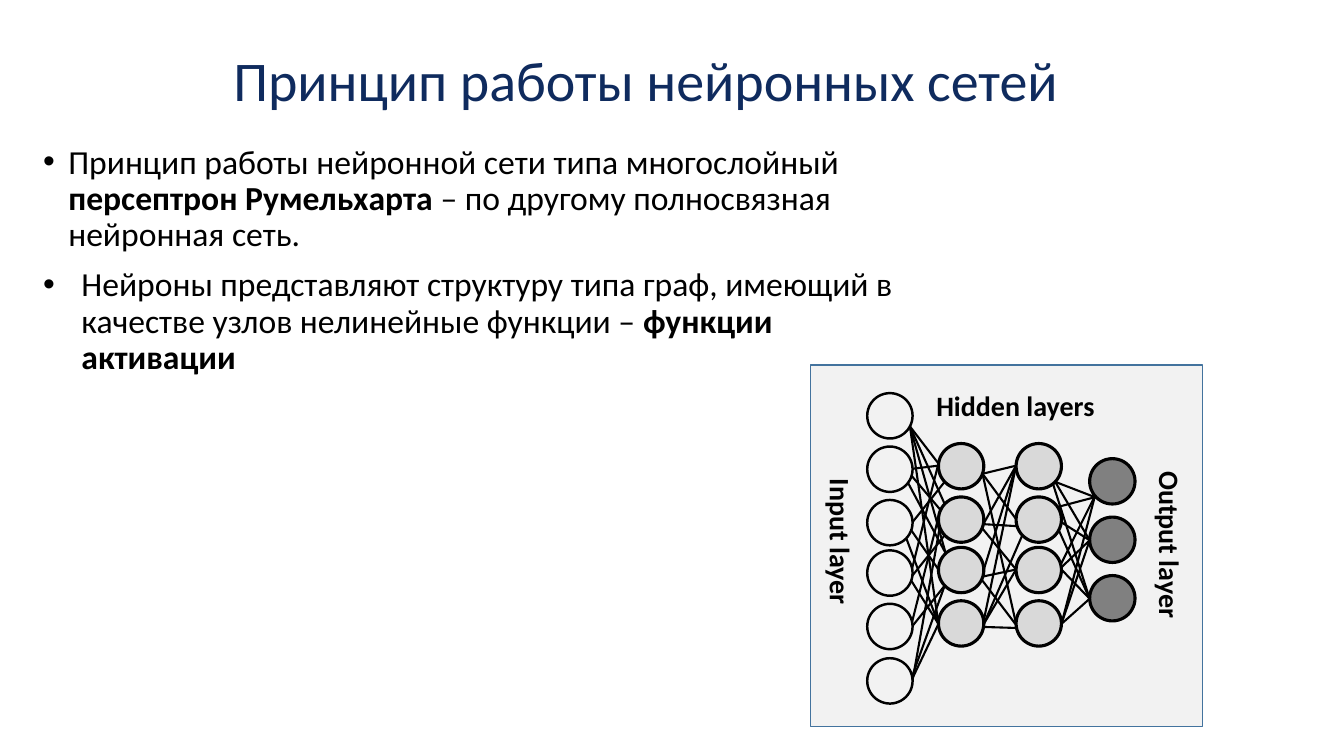
from dataclasses import dataclass
from math import sqrt

from lxml import etree
from pptx import Presentation
from pptx.dml.color import RGBColor
from pptx.enum.shapes import MSO_CONNECTOR, MSO_SHAPE
from pptx.enum.text import MSO_ANCHOR, PP_ALIGN
from pptx.oxml.ns import qn
from pptx.util import Inches, Pt

OVAL, RECTANGLE = MSO_SHAPE.OVAL, MSO_SHAPE.RECTANGLE
STRAIGHT = MSO_CONNECTOR.STRAIGHT
TOP, MIDDLE = MSO_ANCHOR.TOP, MSO_ANCHOR.MIDDLE
LEFT, CENTER = PP_ALIGN.LEFT, PP_ALIGN.CENTER

CELL = 0.1  # side of a grid cell, in inches
COLUMNS, ROWS = 133.33, 75
RADIUS = 2.25  # of a neuron, in cells


@dataclass(frozen=True)
class Theme:
    font: str = "Calibri"
    title_size: int = 40
    body_size: int = 24
    label_size: int = 20
    title: str = "0F2B5E"
    ink: str = "000000"
    panel: str = "F2F2F2"
    panel_edge: str = "43739E"
    hidden: str = "D9D9D9"
    output: str = "808080"


def cells(count):
    return Inches(count * CELL)


class SlideBuilder:
    def __init__(self, slide, theme):
        self.theme = theme
        self.slide = slide
        self.shapes = slide.shapes

    def start_group(self):
        self.shapes = self.slide.shapes.add_group_shape().shapes

    def text(self, frame, paragraphs, size, color, align=LEFT, anchor=TOP,
             wrap=True, rotation=0, indents=None):
        """Each paragraph is a list of (text, bold) runs."""
        box = self.shapes.add_textbox(*map(cells, frame))
        box.rotation = rotation
        text_frame = box.text_frame
        text_frame.word_wrap = wrap
        text_frame.vertical_anchor = anchor
        for index, runs in enumerate(paragraphs):
            para = text_frame.paragraphs[0] if index == 0 else text_frame.add_paragraph()
            para.alignment = align
            if indents:
                self.bullet(para, indents[index])
                para.line_spacing = 0.9
                para.space_before = Pt(10 if index else 0)
            for words, bold in runs:
                span = para.add_run()
                span.text = words
                span.font.name = self.theme.font
                span.font.size = Pt(size)
                span.font.bold = bold
                span.font.color.rgb = RGBColor.from_string(color)

    def bullet(self, para, indent):
        properties = para._p.get_or_add_pPr()
        properties.set("marL", str(cells(indent)))
        properties.set("indent", str(-cells(indent)))
        etree.SubElement(properties, qn("a:buFont")).set("typeface", "Arial")
        etree.SubElement(properties, qn("a:buChar")).set("char", "•")

    def shape(self, kind, frame, fill, edge, width):
        shape = self.shapes.add_shape(kind, *map(cells, frame))
        shape.shadow.inherit = False
        shape.fill.solid()
        shape.fill.fore_color.rgb = RGBColor.from_string(fill)
        shape.line.color.rgb = RGBColor.from_string(edge)
        shape.line.width = Pt(width)

    def line(self, start, end):
        connector = self.shapes.add_connector(STRAIGHT, *map(cells, start + end))
        connector.line.color.rgb = RGBColor.from_string(self.theme.ink)
        connector.line.width = Pt(1.5)
        etree.SubElement(connector._element.spPr, qn("a:effectLst"))

    def layer(self, center_x, centers_y, fill, width):
        for center_y in centers_y:
            frame = (center_x - RADIUS, center_y - RADIUS, 2 * RADIUS, 2 * RADIUS)
            self.shape(OVAL, frame, fill, self.theme.ink, width)


def rim_point(layer, height, side):
    """Point at this height on the rim of the layer's nearest neuron."""
    center_x, centers_y = layer[:2]
    offset = min(abs(height - center_y) for center_y in centers_y)
    return center_x + side * sqrt(max(RADIUS ** 2 - offset ** 2, 0)), height


# Layers: centre column, centre rows, fill, outline width
THEME = Theme()
HIDDEN_ROWS = (46.25, 51.55, 56.55, 61.85)
LAYERS = [
    (88.28, (41.25, 46.55, 51.85, 56.85, 62.15, 67.55), THEME.panel, 1.75),
    (95.35, HIDDEN_ROWS, THEME.hidden, 2.25),
    (103.05, HIDDEN_ROWS, THEME.hidden, 2.25),
    (110.35, (47.75, 53.55, 59.35), THEME.output, 2.25),
]

# Links between neighbouring layers: height on the left rim to heights on the right
LINKS = [
    {42.3: (46, 50, 54.9, 61.9), 46.5: (46.2,), 47.2: (50.6,), 47.9: (54.9,),
     51.8: (47.8,), 52.6: (56.5,), 53.4: (61.9,), 56.4: (45.8,), 57.1: (53.1,),
     57.6: (61.9,), 61.7: (51.2,), 62.1: (58.1,), 67.1: (58.1,),
     67.3: (61.9,), 67.5: (52.3,)},
    {47: (46.2, 51.5, 61.9), 52: (46.2, 52.2), 52.4: (56.5,), 56.5: (46.2,),
     57.2: (56.5,), 57.5: (62,), 61.6: (46.2,), 61.9: (53.1, 56.5), 62.2: (62.3,)},
    {47.8: (49.4, 53.6), 48: (59.4,), 50.3: (49.3,), 51.8: (53.6,), 52.6: (59.4,),
     56: (49.2,), 56.3: (53.6,), 56.5: (59.4,), 61.9: (49.2, 53.6, 59.4)},
]

LABELS = [
    ("Hidden layers", (91.9, 38.1, 17.9, 4.4), 0),
    ("Output layer", (107.7, 51.9, 16.7, 4.4), 90),
    ("Input layer", (76.1, 51.6, 14.6, 4.4), 90),
]

BODY = [
    [("Принцип работы нейронной сети типа многослойный ", False),
     ("персептрон Румельхарта ", True),
     ("– по другому полносвязная нейронная сеть.", False)],
    [("Нейроны представляют структуру типа граф, имеющий в качестве узлов "
      "нелинейные функции – ", False),
     ("функции активации", True)],
]


def main():
    deck = Presentation()
    deck.slide_width, deck.slide_height = cells(COLUMNS), cells(ROWS)
    page = SlideBuilder(deck.slides.add_slide(deck.slide_layouts[6]), THEME)

    # Title and bullets
    page.text((5.7, 0, 116.7, 15.7), [[("Принцип работы нейронных сетей", False)]],
              THEME.title_size, THEME.title, align=CENTER, anchor=MIDDLE)
    page.text((3.3, 13.9, 88, 61), BODY, THEME.body_size, THEME.ink,
              indents=(2.5, 3.8))

    # Network diagram
    page.start_group()
    page.shape(RECTANGLE, (80.4, 36.2, 38.9, 35.9), THEME.panel, THEME.panel_edge, 1)
    for layer in LAYERS:
        page.layer(*layer)
    for source, target, links in zip(LAYERS, LAYERS[1:], LINKS):
        for leave, arrivals in links.items():
            for arrive in arrivals:
                page.line(rim_point(source, leave, 1), rim_point(target, arrive, -1))
    for words, frame, rotation in LABELS:
        page.text(frame, [[(words, True)]], THEME.label_size, THEME.ink,
                  wrap=False, rotation=rotation)

    deck.save("out.pptx")


if __name__ == "__main__":
    main()
